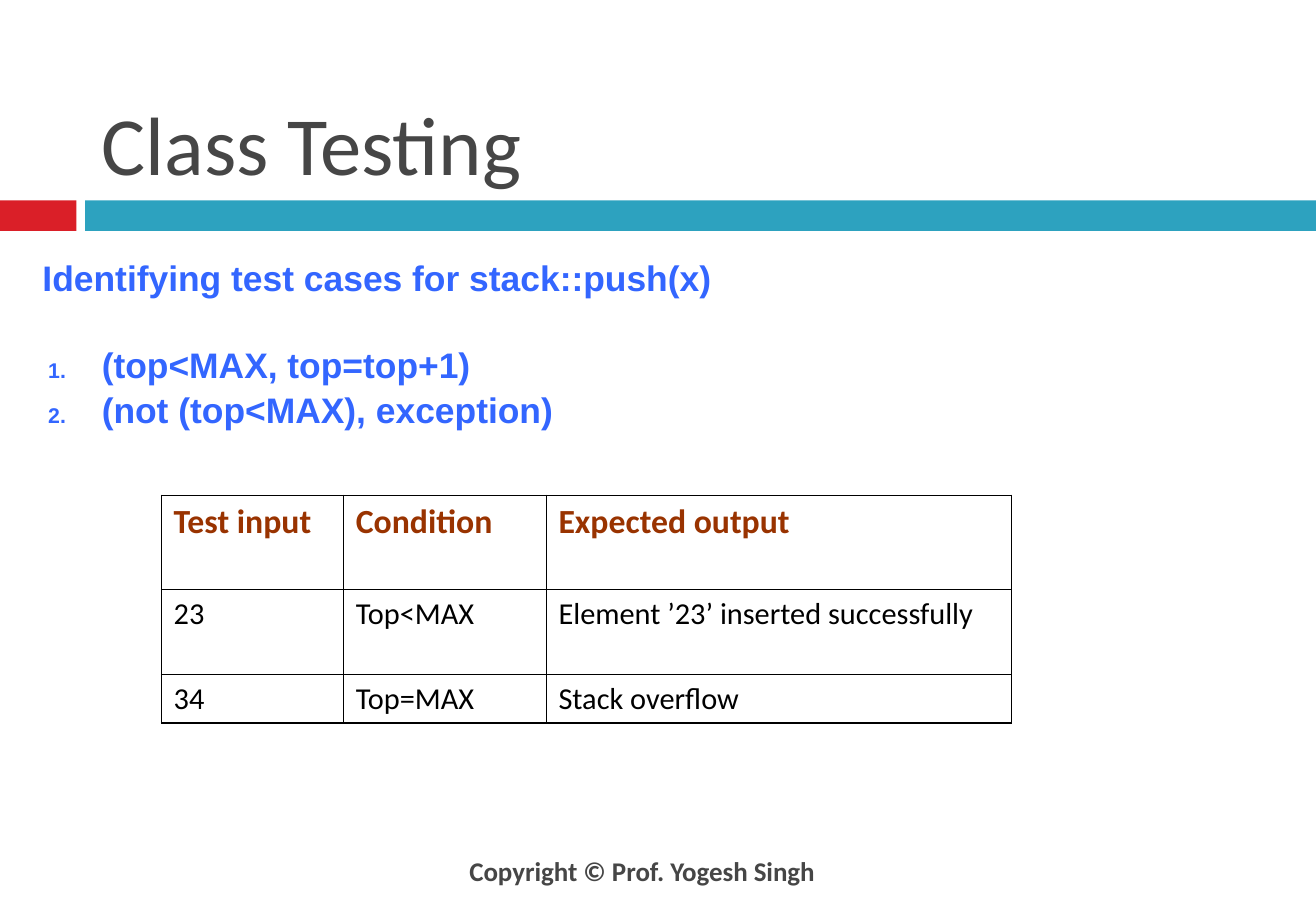
from dataclasses import dataclass

from lxml import etree
from pptx import Presentation
from pptx.dml.color import RGBColor
from pptx.enum.shapes import MSO_SHAPE
from pptx.enum.text import MSO_ANCHOR, PP_ALIGN
from pptx.oxml.ns import qn
from pptx.slide import Slide
from pptx.table import _Cell
from pptx.text.text import TextFrame, _Paragraph
from pptx.util import Cm, Pt

RECTANGLE = MSO_SHAPE.RECTANGLE
TOP, MIDDLE, BOTTOM = MSO_ANCHOR.TOP, MSO_ANCHOR.MIDDLE, MSO_ANCHOR.BOTTOM
LEFT, CENTER, JUSTIFY = PP_ALIGN.LEFT, PP_ALIGN.CENTER, PP_ALIGN.JUSTIFY

GREY, BLUE, BROWN, BLACK = "464646", "3366FF", "993300", "000000"
OUTER_WIDTH, INNER_WIDTH = 1.08, 0.45


@dataclass(frozen=True)
class Box:
    left: float
    top: float
    width: float
    height: float

    def lengths(self) -> tuple[Cm, Cm, Cm, Cm]:
        return Cm(self.left), Cm(self.top), Cm(self.width), Cm(self.height)


@dataclass(frozen=True)
class Style:
    font: str
    size: float
    color: str
    bold: bool = False
    align: PP_ALIGN = LEFT


@dataclass(frozen=True)
class Line:
    text: str
    gap: float = 0
    numbered: bool = False


@dataclass(frozen=True)
class Band:
    box: Box
    color: str


@dataclass(frozen=True)
class TextBlock:
    box: Box
    lines: tuple[Line, ...]
    style: Style
    anchor: MSO_ANCHOR
    inset_x: float
    inset_y: float


BANDS = (
    Band(Box(0, 4.19, 1.6, 0.64), "DA1F28"),
    Band(Box(1.78, 4.19, 25.75, 0.64), "2DA2BF"),
)

TEXT_BLOCKS = (
    TextBlock(Box(5.28, 17.7, 16.31, 1.02),
              (Line("Copyright © Prof. Yogesh Singh"),),
              Style("Calibri", 16, GREY, True, CENTER), MIDDLE, 0.3, 0.15),
    TextBlock(Box(1.83, 0.43, 24.54, 3.73), (Line("Class Testing"),),
              Style("Calibri", 49, GREY), BOTTOM, 0.3, 0.15),
    TextBlock(Box(0.64, 5.23, 25, 9.78),
              (Line("Identifying test cases for stack::push(x)"),
               Line("(top<MAX, top=top+1)", 26.3, True),
               Line("(not (top<MAX), exception)", 1.3, True)),
              Style("Arial", 21, BLUE, True, JUSTIFY), TOP, 0.25, 0.13),
)

TEST_CASES = (
    ("Test input", "Condition", "Expected output"),
    ("23", "Top<MAX", "Element ’23’ inserted successfully"),
    ("34", "Top=MAX", "Stack overflow"),
)
COLUMN_WIDTHS = (3.81, 4.24, 9.73)
ROW_HEIGHTS = (1.96, 1.78, 1.02)
HEADER_STYLE = Style("Calibri", 20, BROWN, True)
CASE_STYLE = Style("Calibri", 18, BLACK)


def rgb(color: str) -> RGBColor:
    return RGBColor.from_string(color)


def apply_formats(target: object, formats: dict[str, object]) -> None:
    for attribute, value in formats.items():
        setattr(target, attribute, value)


def add_number(paragraph: _Paragraph, style: Style) -> None:
    properties = paragraph._p.get_or_add_pPr()
    properties.set("marL", str(Cm(1.24)))
    properties.set("indent", str(Cm(-1.12)))
    number_color = etree.SubElement(properties, qn("a:buClr"))
    etree.SubElement(number_color, qn("a:srgbClr"), val=style.color)
    etree.SubElement(properties, qn("a:buSzPct"), val="60000")
    etree.SubElement(properties, qn("a:buFont"), typeface=style.font)
    etree.SubElement(properties, qn("a:buAutoNum"), type="arabicPeriod")


def write_lines(frame: TextFrame, lines: tuple[Line, ...], style: Style) -> None:
    for index, line in enumerate(lines):
        paragraph = frame.add_paragraph() if index else frame.paragraphs[0]
        if line.numbered:
            add_number(paragraph, style)
        paragraph.alignment = style.align
        if line.gap:
            paragraph.space_before = Pt(line.gap)
        run = paragraph.add_run()
        run.text = line.text
        apply_formats(run.font, {
            "name": style.font, "size": Pt(style.size), "bold": style.bold,
        })
        run.font.color.rgb = rgb(style.color)


def draw_band(slide: Slide, band: Band) -> None:
    bar = slide.shapes.add_shape(RECTANGLE, *band.box.lengths())
    bar.shadow.inherit = False
    bar.fill.solid()
    bar.fill.fore_color.rgb = rgb(band.color)
    bar.line.fill.background()


def draw_text(slide: Slide, block: TextBlock) -> None:
    frame = slide.shapes.add_textbox(*block.box.lengths()).text_frame
    apply_formats(frame, {
        "word_wrap": True, "vertical_anchor": block.anchor,
        "margin_left": Cm(block.inset_x), "margin_right": Cm(block.inset_x),
        "margin_top": Cm(block.inset_y), "margin_bottom": Cm(block.inset_y),
    })
    write_lines(frame, block.lines, block.style)


def draw_borders(cell: _Cell, outer_sides: dict[str, bool]) -> None:
    properties = cell._tc.get_or_add_tcPr()
    for side, is_outer in outer_sides.items():
        width = Pt(OUTER_WIDTH if is_outer else INNER_WIDTH)
        border = etree.SubElement(properties, qn(f"a:ln{side}"), w=str(width))
        border_fill = etree.SubElement(border, qn("a:solidFill"))
        etree.SubElement(border_fill, qn("a:srgbClr"), val=BLACK)


def draw_test_cases(slide: Slide) -> None:
    box = Box(3.38, 10.36, sum(COLUMN_WIDTHS), sum(ROW_HEIGHTS))
    last_row, last_column = len(ROW_HEIGHTS) - 1, len(COLUMN_WIDTHS) - 1
    table = slide.shapes.add_table(
        len(ROW_HEIGHTS), len(COLUMN_WIDTHS), *box.lengths()).table
    apply_formats(table, {"first_row": False, "horz_banding": False})
    for column, width in zip(table.columns, COLUMN_WIDTHS):
        column.width = Cm(width)
    for row, height in zip(table.rows, ROW_HEIGHTS):
        row.height = Cm(height)
    for r, case in enumerate(TEST_CASES):
        for c, text in enumerate(case):
            cell = table.cell(r, c)
            draw_borders(cell, {"L": c == 0, "R": c == last_column,
                                "T": r == 0, "B": r == last_row})
            cell.fill.background()
            write_lines(cell.text_frame, (Line(text),),
                        CASE_STYLE if r else HEADER_STYLE)


def main() -> None:
    presentation = Presentation()
    apply_formats(presentation, {
        "slide_width": Cm(27.53), "slide_height": Cm(19.05),
    })
    slide = presentation.slides.add_slide(presentation.slide_layouts[6])
    for band in BANDS:
        draw_band(slide, band)
    for block in TEXT_BLOCKS:
        draw_text(slide, block)
    draw_test_cases(slide)
    presentation.save("out.pptx")


if __name__ == "__main__":
    main()
